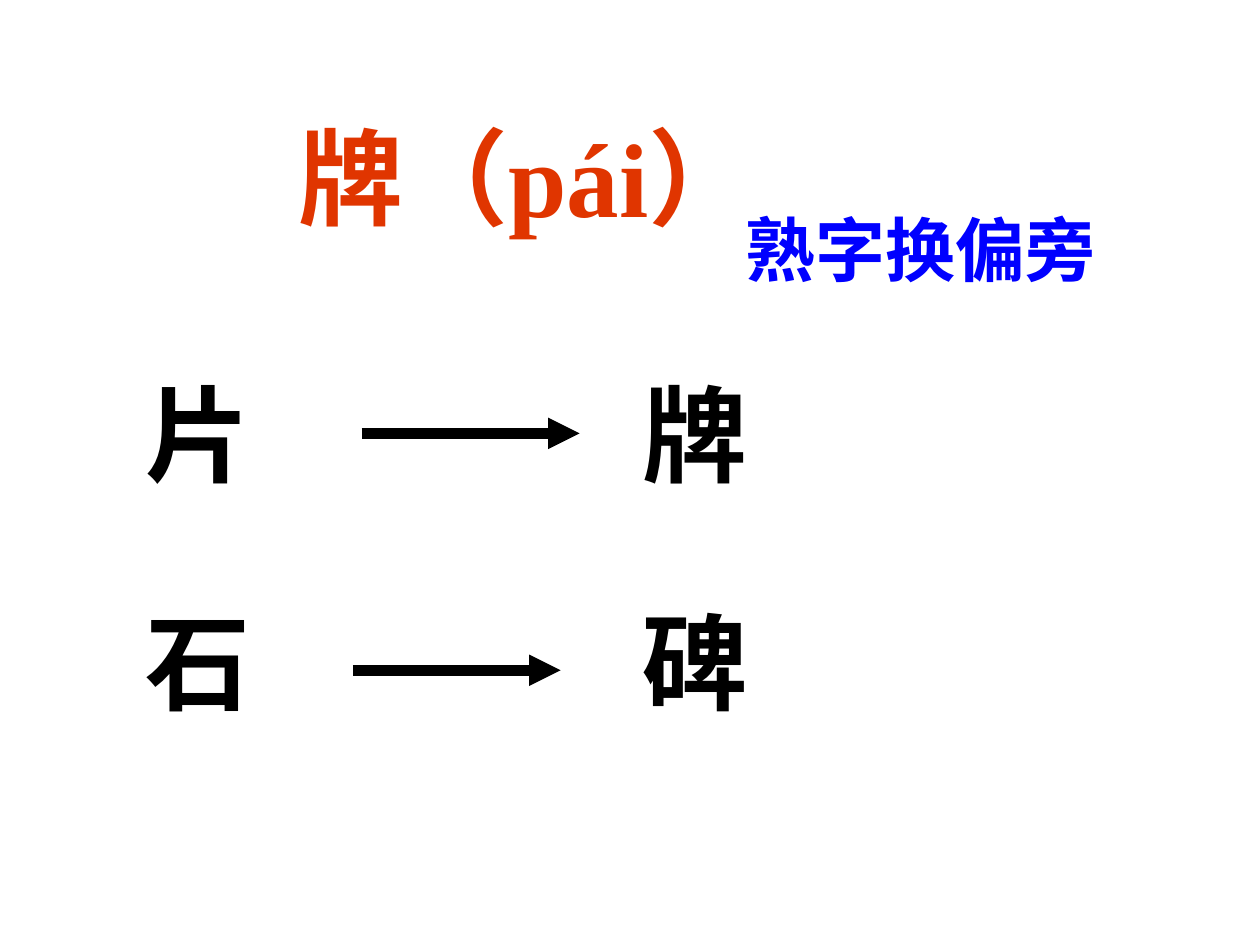
import pptx
import pptx.util
import pptx.dml.color
import pptx.enum.shapes
import pptx.enum.text
from lxml import etree
from pptx.oxml.ns import qn

Inches = pptx.util.Inches
FONT = "Times New Roman"
HUES = {"red": "E03500", "blue": "0000FF", "black": "000000"}


def tint(name):
    return pptx.dml.color.RGBColor.from_string(HUES[name])


def add_text(slide, text, box, size=60, hue="black", left=0.1, top=0.05):
    shape = slide.shapes.add_textbox(*map(Inches, box))
    frame = shape.text_frame
    frame.word_wrap = True
    frame.vertical_anchor = pptx.enum.text.MSO_ANCHOR.TOP
    frame.margin_left, frame.margin_top = Inches(left), Inches(top)
    frame.margin_right, frame.margin_bottom = Inches(0.1), Inches(0.05)
    para = frame.paragraphs[0]
    para.alignment = pptx.enum.text.PP_ALIGN.CENTER
    run = para.add_run()
    run.text = text
    run.font.name = FONT
    run.font.size = pptx.util.Pt(size)
    run.font.bold = True
    run.font.color.rgb = tint(hue)


def add_arrow(slide, start, end, y):
    arrow = slide.shapes.add_connector(
        pptx.enum.shapes.MSO_CONNECTOR.STRAIGHT,
        Inches(start), Inches(y), Inches(end), Inches(y))
    arrow.line.width = pptx.util.Pt(6)
    arrow.line.color.rgb = tint("black")
    etree.SubElement(arrow.line._get_or_add_ln(), qn("a:tailEnd"), type="triangle")
    etree.SubElement(arrow._element.spPr, qn("a:effectLst"))


def add_head(slide, box):
    x, y, wide, high = box
    add_text(slide, "牌（pái）", (x, y, 5.13, high), hue="red")
    add_text(slide, "熟字换偏旁", (x + wide - 4.13, y + 0.47, 4.13, 0.94),
             size=40, hue="blue", top=0.33)


def add_pair(slide, box, old, new, start, end, drop):
    x, y, wide, high = box
    cell = 2.13
    for text, left in ((old, x), (new, x + wide - cell)):
        add_text(slide, text, (left, y, cell, high), left=0.26)
    add_arrow(slide, x + start, x + end, y + drop)


def main():
    deck = pptx.Presentation()
    deck.slide_width, deck.slide_height = Inches(10), Inches(7.5)
    slide = deck.slides.add_slide(deck.slide_layouts[6])
    add_head(slide, (1.61, 0.84, 7.76, 1.17))
    add_pair(slide, (0.43, 2.88, 6.07, 0.94), "片", "牌", 2.44, 4.17, 0.56)
    add_pair(slide, (0.43, 4.69, 6.07, 0.94), "石", "碑", 2.37, 4.02, 0.63)
    deck.save("out.pptx")


if __name__ == "__main__":
    main()
